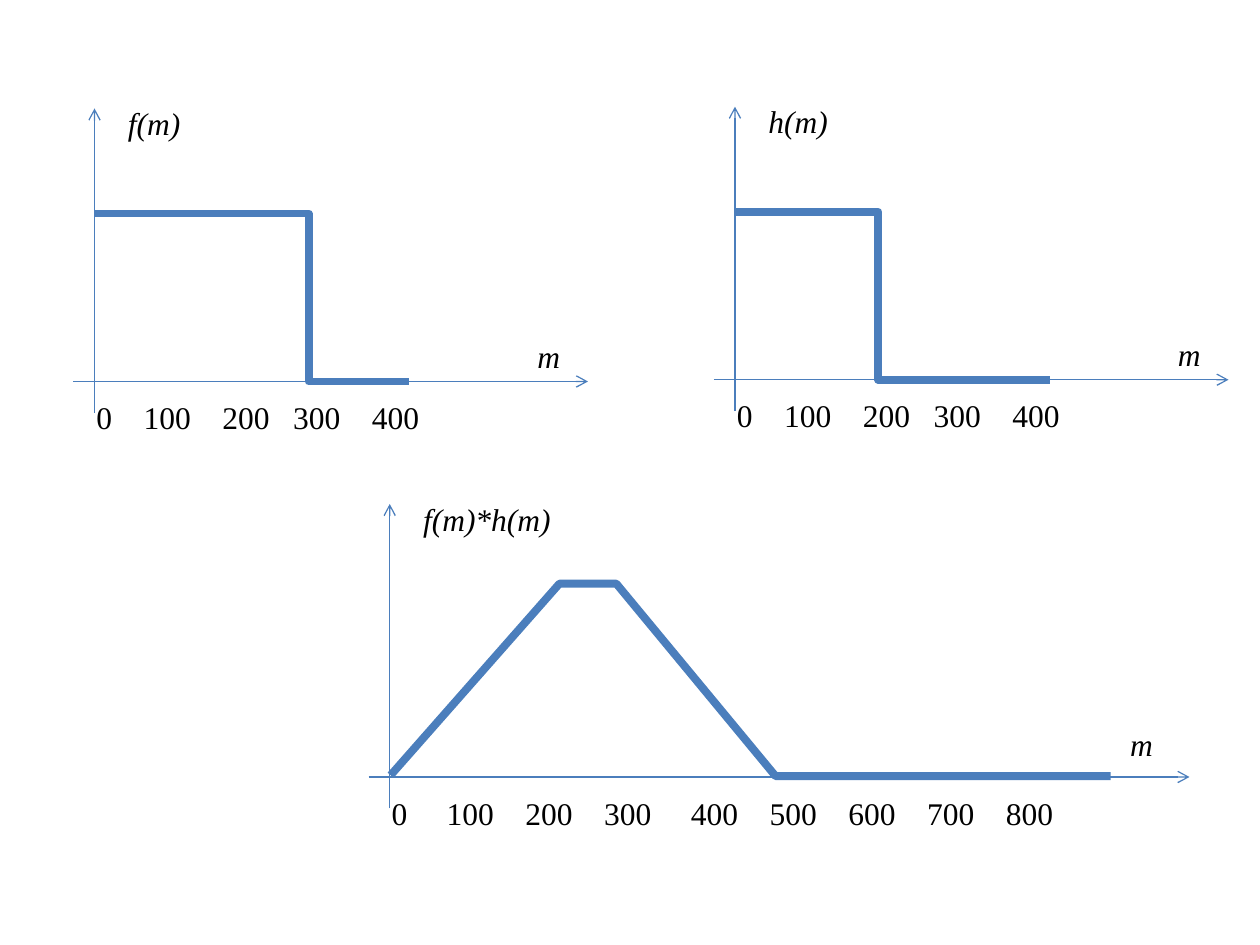
import pptx
import pptx.dml.color
import pptx.enum.shapes
import pptx.oxml
import pptx.oxml.ns
import pptx.util
from lxml import etree

Pt = pptx.util.Pt
CURVE_BLUE = pptx.dml.color.RGBColor(0x4B, 0x7E, 0xBC)
TEXT_BLACK = pptx.dml.color.RGBColor(0, 0, 0)
LABEL_FONT = {"name": "Times New Roman", "size": Pt(18)}
THIN, THICK = 0.75, 4.5
AXIS_HEIGHT = 174
BASELINE = 156
DIGIT, SPACE = 9, 4.5


def add_xml(parent, tag, **attributes):
    return etree.SubElement(parent, pptx.oxml.ns.qn(tag), **attributes)


def style_line(line, weight):
    line.color.rgb = CURVE_BLUE
    line.width = Pt(weight)


def add_line(shapes, kind, start, end, weight):
    line = shapes.add_connector(kind, *(Pt(v) for v in (*start, *end)))
    style_line(line.line, weight)
    add_xml(line._element.spPr, "a:effectLst")
    return line


def add_axis(shapes, start, end):
    axis = add_line(shapes, pptx.enum.shapes.MSO_CONNECTOR.STRAIGHT, start, end, THIN)
    add_xml(axis.line._get_or_add_ln(), "a:tailEnd", type="arrow")


def add_label(shapes, text, left, top, width, wrap=False, italic=True):
    box = shapes.add_textbox(Pt(left), Pt(top), Pt(width), Pt(29))
    box.text_frame.word_wrap = wrap
    paragraph = box.text_frame.paragraphs[0]
    label = paragraph.add_run()
    label.text = text
    for attribute, value in {**LABEL_FONT, "italic": italic}.items():
        setattr(label.font, attribute, value)
    label.font.color.rgb = TEXT_BLACK
    return paragraph


def add_ticks(shapes, left, top, width, gaps):
    """Write 0, 100, 200 ... on tab stops; gaps are counted in space widths."""
    values = [str(100 * i) for i in range(len(gaps) + 1)]
    ticks = add_label(shapes, "\t".join(values), left, top, width, True, False)
    tab_list = add_xml(ticks._p.get_or_add_pPr(), "a:tabLst")
    position = 0
    for value, gap in zip(values, gaps):
        position += len(value) * DIGIT + gap * SPACE
        add_xml(tab_list, "a:tab", pos=str(Pt(position)), algn="l")


def add_axes(shapes, left, top, width, name, name_width, m_offset, tick_width, gaps):
    """Draw axes and labels; left and top mark the tip of the vertical axis."""
    baseline = top + BASELINE
    add_axis(shapes, (left, top + AXIS_HEIGHT), (left, top))
    add_axis(shapes, (left - 12, baseline), (left + width, baseline))
    add_label(shapes, name, left + 12, top - 6, name_width)
    add_label(shapes, "m", left + width - m_offset[0], baseline - m_offset[1], 27.4)
    add_ticks(shapes, left - 6, baseline + 6, tick_width, gaps)


def add_step_plot(shapes, left, top, name, name_width, drop):
    """Plot a step that falls to zero at the given share of the curve's width."""
    add_axes(shapes, left, top, 282, name, name_width, (36, 29), 205, (4, 4, 3, 4))
    step = add_line(shapes, pptx.enum.shapes.MSO_CONNECTOR.ELBOW,
                    (left, top + 60), (left + 180, top + BASELINE), THICK)
    geometry = step._element.spPr.find(pptx.oxml.ns.qn("a:prstGeom"))
    guides = geometry.find(pptx.oxml.ns.qn("a:avLst"))
    if guides is None:
        guides = add_xml(geometry, "a:avLst")
    add_xml(guides, "a:gd", name="adj1", fmla=f"val {round(drop * 100000)}")


def add_convolution_plot(shapes, left, top):
    add_axes(shapes, left, top, 457, "f(m)*h(m)", 88.6, (41, 33), 410,
             (5, 4, 4, 5, 4, 4, 4, 4))
    corners = [(0.5, 155), (97, 45.5), (129.5, 45.5), (220.5, 155.5), (412, 155.5)]
    points = [(Pt(left + x), Pt(top + y)) for x, y in corners]
    builder = shapes.build_freeform(*points[0])
    builder.add_line_segments(points[1:], close=False)
    curve = builder.convert_to_shape()
    curve.fill.background()
    curve.shadow.inherit = False
    style_line(curve.line, THICK)


def main():
    presentation = pptx.Presentation()
    presentation.slide_width, presentation.slide_height = Pt(720), Pt(540)
    slide = presentation.slides.add_slide(presentation.slide_layouts[6])
    add_step_plot(slide.shapes, 54, 62, "f(m)", 44.6, 0.68)
    add_step_plot(slide.shapes, 420, 61, "h(m)", 49, 0.455)
    add_convolution_plot(slide.shapes.add_group_shape().shapes, 222.7, 288)
    presentation.save("out.pptx")


if __name__ == "__main__":
    main()
